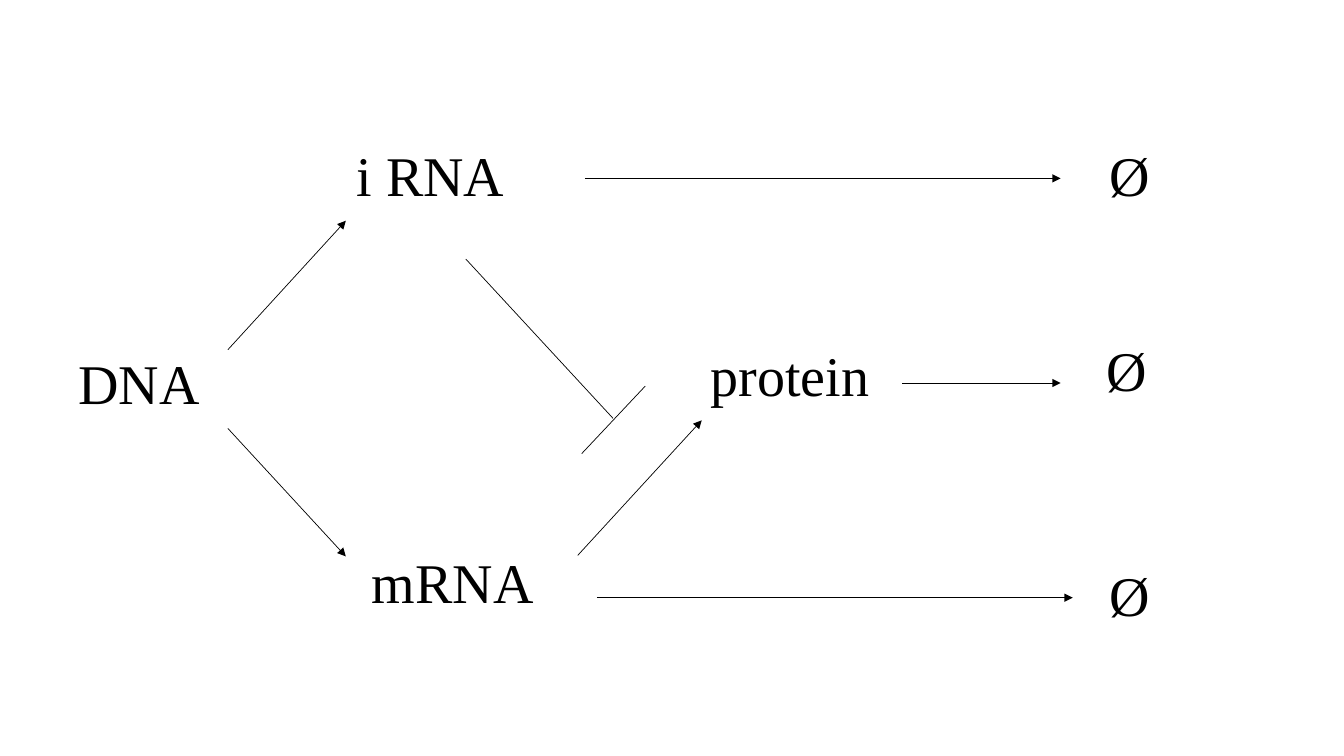
from typing import NamedTuple

from lxml import etree
from pptx import Presentation
from pptx.dml.color import RGBColor
from pptx.enum.shapes import MSO_CONNECTOR
from pptx.enum.text import PP_ALIGN
from pptx.oxml.ns import qn
from pptx.util import Inches, Pt

STRAIGHT = MSO_CONNECTOR.STRAIGHT
LEFT = PP_ALIGN.LEFT
BLANK_LAYOUT = 6
FONT = "Times New Roman"
BLACK = "000000"
LABEL_HEIGHT = 0.77


class Label(NamedTuple):
    """A molecule name and its box, in inches."""
    text: str
    left: float
    top: float
    width: float


class Link(NamedTuple):
    """A line between two points, in inches."""
    x1: float
    y1: float
    x2: float
    y2: float
    arrow: bool = True


LABELS = [
    Label("i RNA", 3.44, 1.35, 2.35),
    Label("DNA", 0.68, 3.41, 1.5),
    Label("mRNA", 3.59, 5.38, 2.22),
    Label("protein", 6.95, 3.33, 1.85),
    Label("Ø", 10.91, 1.35, 0.65),
    Label("Ø", 10.88, 3.28, 0.65),
    Label("Ø", 10.91, 5.51, 0.65),
]

TRANSCRIPTION = [Link(2.26, 3.47, 3.43, 2.19), Link(2.26, 4.25, 3.43, 5.52)]
TRANSLATION = [Link(5.73, 5.51, 6.96, 4.17)]
INHIBITION = [
    Link(4.62, 2.57, 6.08, 4.15, arrow=False),
    Link(6.4, 3.83, 5.77, 4.5, arrow=False),
]
DEGRADATION = [
    Link(5.8, 1.77, 10.52, 1.77),
    Link(8.95, 3.8, 10.52, 3.8),
    Link(5.92, 5.93, 10.64, 5.93),
]


def color(hex_code: str) -> RGBColor:
    """Turn a hex string into a colour."""
    return RGBColor.from_string(hex_code)


def add_label(s, label: Label) -> None:
    """Write one molecule name on the slide."""
    box = s.shapes.add_textbox(Inches(label.left), Inches(label.top),
                               Inches(label.width), Inches(LABEL_HEIGHT))
    tf = box.text_frame
    tf.word_wrap = True
    tf.text = label.text
    p = tf.paragraphs[0]
    p.alignment = LEFT
    r = p.runs[0]
    r.font.name = FONT
    r.font.size = Pt(40)
    r.font.color.rgb = color(BLACK)


def add_link(s, link: Link) -> None:
    """Draw one thin line, with an arrowhead at its end if wanted."""
    sp = s.shapes.add_connector(STRAIGHT, Inches(link.x1), Inches(link.y1),
                                Inches(link.x2), Inches(link.y2))
    sp.line.color.rgb = color(BLACK)
    sp.line.width = Pt(0.5)
    if link.arrow:
        ln = sp.line._get_or_add_ln()
        etree.SubElement(ln, qn("a:tailEnd"), type="triangle")
    etree.SubElement(sp._element.spPr, qn("a:effectLst"))


prs = Presentation()
prs.slide_width = Inches(13.33)
prs.slide_height = Inches(7.5)
s = prs.slides.add_slide(prs.slide_layouts[BLANK_LAYOUT])

for label in LABELS:
    add_label(s, label)
for link in TRANSCRIPTION + TRANSLATION + INHIBITION + DEGRADATION:
    add_link(s, link)

prs.save("out.pptx")
